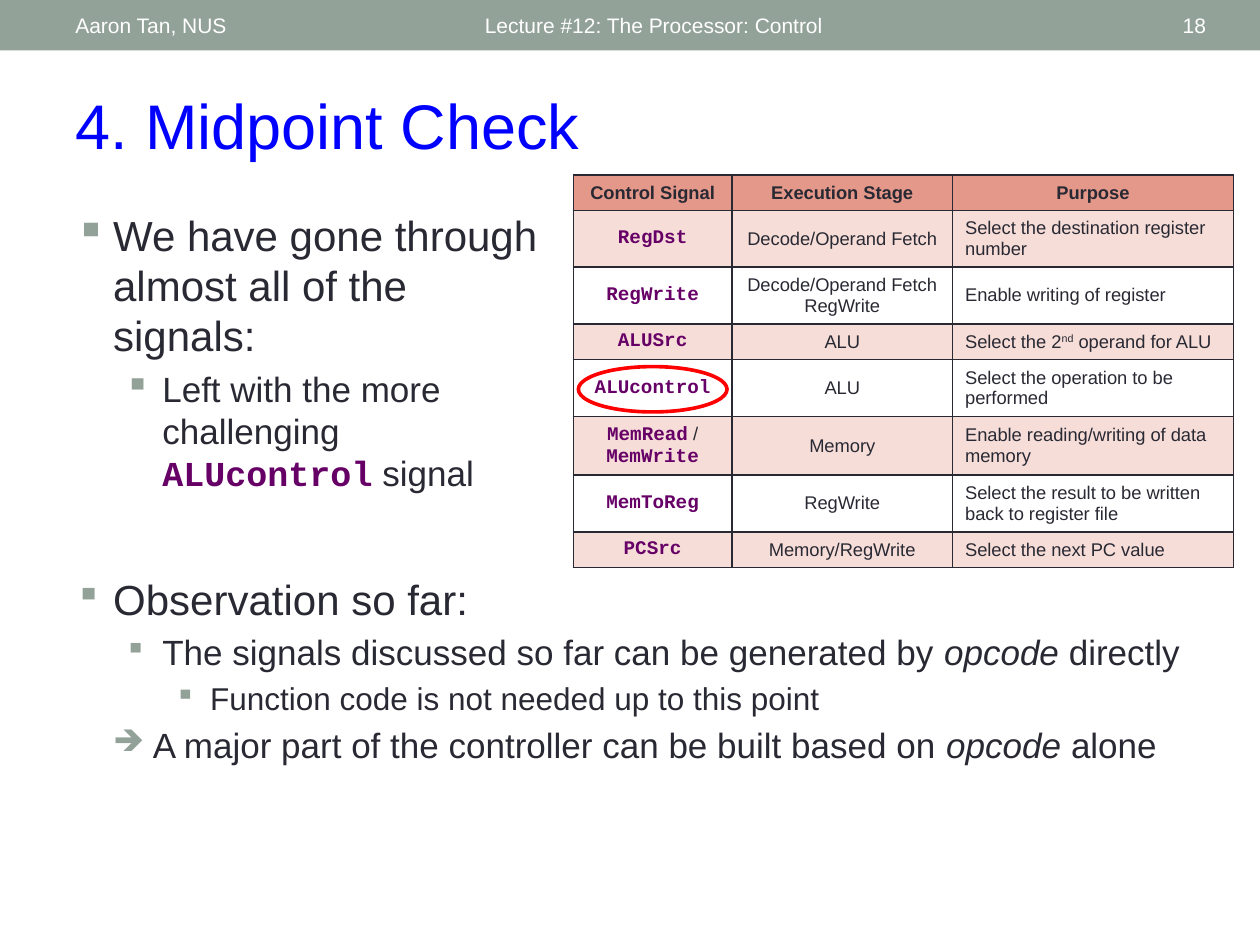
from dataclasses import dataclass

from lxml import etree
from pptx import Presentation
from pptx import util as u
from pptx.dml.color import RGBColor
from pptx.enum import shapes, text
from pptx.oxml.ns import qn

SAGE = RGBColor(0x93, 0xA2, 0x99)
WHITE = RGBColor(0xFF, 0xFF, 0xFF)
BLUE = RGBColor(0x00, 0x00, 0xFF)
INK = RGBColor(0x29, 0x29, 0x34)
PURPLE = RGBColor(0x66, 0x00, 0x66)
RED = RGBColor(0xFF, 0x00, 0x00)
HEADER_FILL = RGBColor(0xE4, 0x98, 0x8A)
BAND_FILL = RGBColor(0xF6, 0xDD, 0xD8)

LEFT, CENTER, RIGHT = text.PP_ALIGN.LEFT, text.PP_ALIGN.CENTER, text.PP_ALIGN.RIGHT
MIDDLE = text.MSO_ANCHOR.MIDDLE


@dataclass(frozen=True)
class Run:
    text: str
    code: bool = False
    italic: bool = False
    superscript: bool = False


@dataclass(frozen=True)
class Bullet:
    runs: tuple[Run, ...]
    level: int
    size: float
    margin: float
    hanging: float
    bullet_size: int
    mark: str = "▪"


@dataclass(frozen=True)
class Signal:
    name: tuple[Run, ...]
    stages: tuple[str, ...]
    purpose: tuple[Run, ...]
    height: float


SIGNAL_BULLETS = (
    Bullet((Run("We have gone through almost all of the signals:"),), 0, 24, 0.3, 0.3, 100),
    Bullet((Run("Left with the more challenging "), Run("ALUcontrol", code=True), Run(" signal")),
           1, 20, 0.69, 0.3, 100),
)
OBSERVATION_BULLETS = (
    Bullet((Run("Observation so far:"),), 0, 24, 0.3, 0.3, 85),
    Bullet((Run("The signals discussed so far can be generated by "),
            Run("opcode", italic=True), Run(" directly")), 1, 20, 0.69, 0.3, 85),
    Bullet((Run("Function code is not needed up to this point"),), 2, 18, 1.07, 0.28, 90),
    Bullet((Run(" A major part of the controller can be built based on "),
            Run("opcode ", italic=True), Run("alone")), 1, 20, 0.5, 0.2, 85, "➔"),
)

HEADINGS = ("Control Signal", "Execution Stage", "Purpose")
COLUMN_WIDTHS = (1.26, 1.75, 2.23)
HEADER_HEIGHT = 0.28
SIGNALS = (
    Signal((Run("RegDst", code=True),), ("Decode/Operand Fetch",),
           (Run("Select the destination register number"),), 0.45),
    Signal((Run("RegWrite", code=True),), ("Decode/Operand Fetch", "RegWrite"),
           (Run("Enable writing of register"),), 0.45),
    Signal((Run("ALUSrc", code=True),), ("ALU",),
           (Run("Select the 2"), Run("nd", superscript=True), Run(" operand for ALU")), 0.28),
    Signal((Run("ALUcontrol", code=True),), ("ALU",),
           (Run("Select the operation to be performed"),), 0.45),
    Signal((Run("MemRead", code=True), Run(" / "), Run("MemWrite", code=True)), ("Memory",),
           (Run("Enable reading/writing of data memory"),), 0.46),
    Signal((Run("MemToReg", code=True),), ("RegWrite",),
           (Run("Select the result to be written back to register file"),), 0.45),
    Signal((Run("PCSrc", code=True),), ("Memory/RegWrite",),
           (Run("Select the next PC value"),), 0.28),
)


def add_run(paragraph, content: str, *, size: float, color=INK, font="Arial",
            bold=False, italic=False, superscript=False):
    run = paragraph.add_run()
    run.text = content
    run.font.size = u.Pt(size)
    run.font.name = font
    run.font.color.rgb = color
    run.font.bold = bold
    run.font.italic = italic
    if superscript:
        run.font._element.set("baseline", "30000")


def add_runs(paragraph, runs: tuple[Run, ...], size: float, code_size: float):
    """Add mixed runs; code is bold purple Courier New."""
    for run in runs:
        if run.code:
            add_run(paragraph, run.text, size=code_size, color=PURPLE,
                    font="Courier New", bold=True)
        else:
            add_run(paragraph, run.text, size=size, italic=run.italic,
                    superscript=run.superscript)


def add_text_frame(slide, left: float, top: float, width: float, height: float):
    box = slide.shapes.add_textbox(u.Inches(left), u.Inches(top),
                                   u.Inches(width), u.Inches(height))
    box.text_frame.word_wrap = True
    return box.text_frame


def add_line(slide, content: str, place: tuple[float, ...], *, size: float, color,
             align=LEFT, anchor=text.MSO_ANCHOR.TOP):
    frame = add_text_frame(slide, *place)
    frame.vertical_anchor = anchor
    frame.paragraphs[0].alignment = align
    add_run(frame.paragraphs[0], content, size=size, color=color)


def format_bullet(paragraph, bullet: Bullet):
    paragraph.level = bullet.level
    properties = paragraph._p.get_or_add_pPr()
    properties.set("marL", str(u.Inches(bullet.margin)))
    properties.set("indent", str(-u.Inches(bullet.hanging)))
    spacing = etree.SubElement(properties, qn("a:spcBef"))
    etree.SubElement(spacing, qn("a:spcPct"), val="20000")
    color = etree.SubElement(properties, qn("a:buClr"))
    etree.SubElement(color, qn("a:srgbClr"), val=str(SAGE))
    etree.SubElement(properties, qn("a:buSzPct"), val=str(bullet.bullet_size * 1000))
    etree.SubElement(properties, qn("a:buChar"), char=bullet.mark)


def add_bullets(slide, bullets: tuple[Bullet, ...], place: tuple[float, ...]):
    frame = add_text_frame(slide, *place)
    for index, bullet in enumerate(bullets):
        paragraph = frame.add_paragraph() if index else frame.paragraphs[0]
        format_bullet(paragraph, bullet)
        add_runs(paragraph, bullet.runs, bullet.size, bullet.size)


def format_cell(cell, fill):
    cell.vertical_anchor = MIDDLE
    properties = cell._tc.get_or_add_tcPr()
    for side in ("lnL", "lnR", "lnT", "lnB"):
        border = etree.SubElement(properties, qn(f"a:{side}"), w=str(u.Pt(1)))
        solid = etree.SubElement(border, qn("a:solidFill"))
        etree.SubElement(solid, qn("a:srgbClr"), val=str(INK))
    if fill is None:
        cell.fill.background()
    else:
        cell.fill.solid()
        cell.fill.fore_color.rgb = fill


def add_signal_table(slide):
    heights = (HEADER_HEIGHT, *(signal.height for signal in SIGNALS))
    table = slide.shapes.add_table(
        len(heights), len(HEADINGS), u.Inches(4.55), u.Inches(1.39),
        u.Inches(sum(COLUMN_WIDTHS)), u.Inches(sum(heights))).table
    for column, width in zip(table.columns, COLUMN_WIDTHS):
        column.width = u.Inches(width)
    for row, height in zip(table.rows, heights):
        row.height = u.Inches(height)

    for column, heading in enumerate(HEADINGS):
        cell = table.cell(0, column)
        format_cell(cell, HEADER_FILL)
        paragraph = cell.text_frame.paragraphs[0]
        paragraph.alignment = CENTER
        add_run(paragraph, heading, size=10.5, bold=True)

    for row, signal in enumerate(SIGNALS, start=1):
        stages = tuple((Run(stage),) for stage in signal.stages)
        contents = ((signal.name,), stages, (signal.purpose,))
        for column, lines in enumerate(contents):
            cell = table.cell(row, column)
            format_cell(cell, BAND_FILL if row % 2 else None)
            for index, runs in enumerate(lines):
                frame = cell.text_frame
                paragraph = frame.add_paragraph() if index else frame.paragraphs[0]
                paragraph.alignment = LEFT if column == 2 else CENTER
                add_runs(paragraph, runs, 10.5, 11)


def add_shape(slide, kind, left: float, top: float, width: float, height: float):
    shape = slide.shapes.add_shape(kind, u.Inches(left), u.Inches(top),
                                   u.Inches(width), u.Inches(height))
    shape.shadow.inherit = False
    return shape


def main():
    presentation = Presentation()
    presentation.slide_width, presentation.slide_height = u.Inches(10), u.Inches(7.5)
    slide = presentation.slides.add_slide(presentation.slide_layouts[6])

    banner = add_shape(slide, shapes.MSO_SHAPE.RECTANGLE, 0, 0, 10, 0.4)
    banner.fill.solid()
    banner.fill.fore_color.rgb = SAGE
    banner.line.fill.background()
    for content, left, width, align in (
            ("Lecture #12: The Processor: Control", 3.75, 4.5, LEFT),
            ("Aaron Tan, NUS", 0.5, 3.17, LEFT),
            ("18", 8.72, 0.95, RIGHT)):
        add_line(slide, content, (left, 0.02, width, 0.36), size=12, color=WHITE,
                 align=align, anchor=MIDDLE)

    add_line(slide, "4. Midpoint Check", (0.5, 0.64, 9.17, 0.71), size=36, color=BLUE)
    add_signal_table(slide)
    add_bullets(slide, SIGNAL_BULLETS, (0.5, 1.61, 3.93, 2.52))
    highlight = add_shape(slide, shapes.MSO_SHAPE.OVAL, 4.59, 2.91, 1.18, 0.36)
    highlight.fill.background()
    highlight.line.color.rgb = RED
    highlight.line.width = u.Pt(2.08)
    add_bullets(slide, OBSERVATION_BULLETS, (0.5, 4.5, 9, 1.85))
    presentation.save("out.pptx")


if __name__ == "__main__":
    main()
